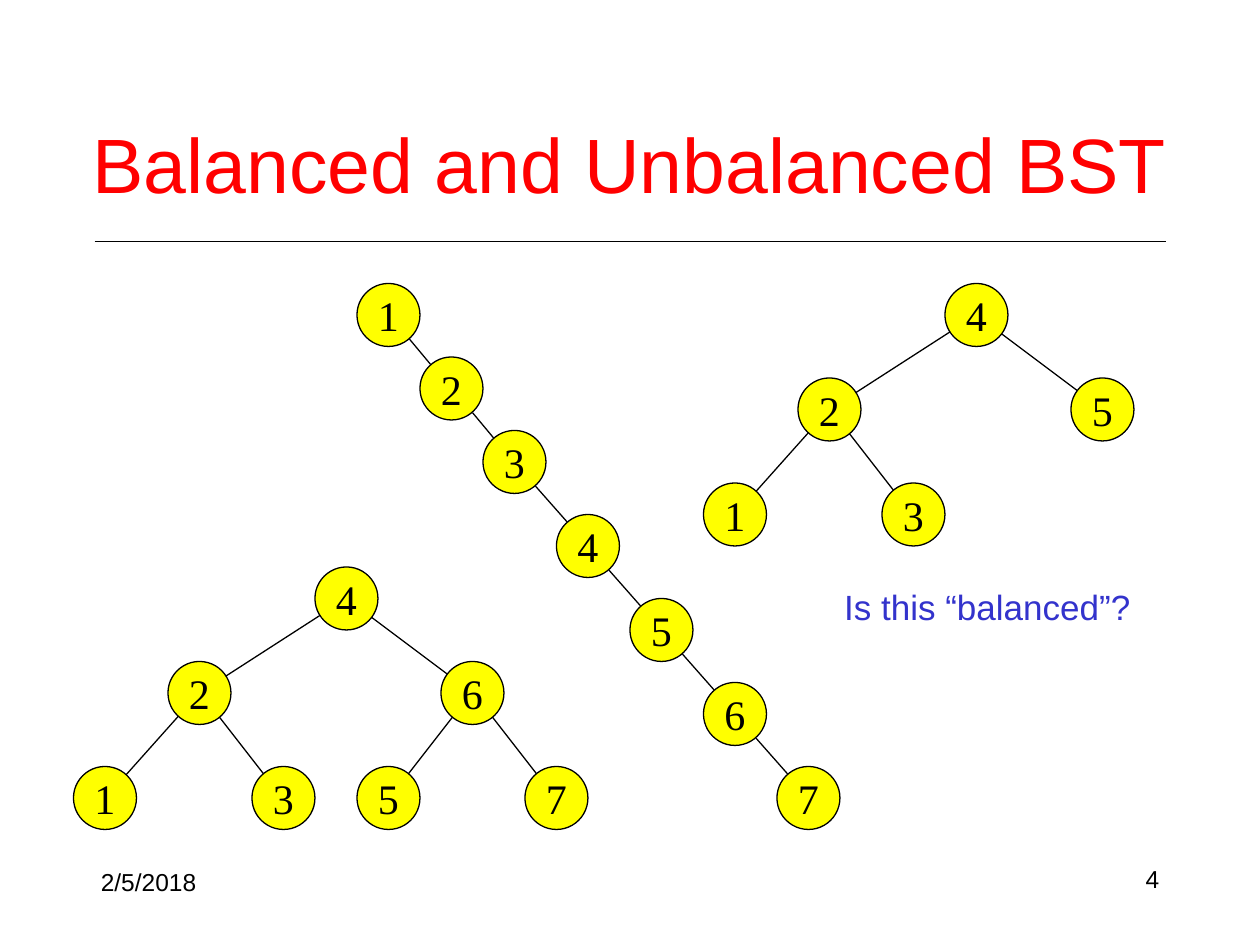
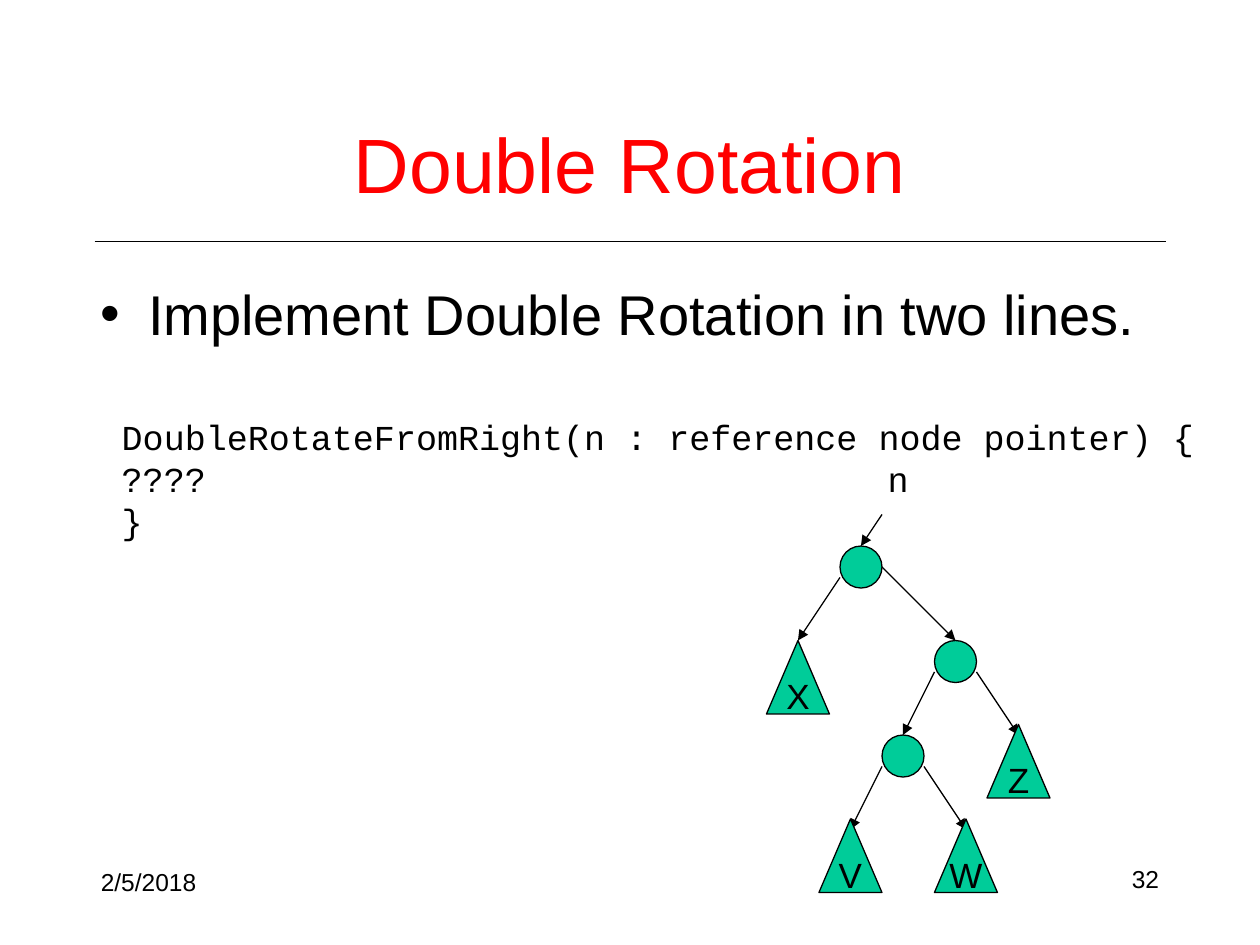
from dataclasses import dataclass
from itertools import pairwise
from math import hypot

from lxml.etree import SubElement
from pptx import Presentation
from pptx.dml.color import RGBColor
from pptx.enum.shapes import MSO_CONNECTOR as Connector, MSO_SHAPE as Preset
from pptx.enum.text import MSO_ANCHOR as Anchor, PP_ALIGN as Align
from pptx.oxml.ns import qn
from pptx.slide import Slide
from pptx.util import Pt

PX = 7620
SLIDE_W, SLIDE_H = 1200, 900
INSET = 6
NODE = 60
RADIUS = NODE // 2
JOINT = 40
SUBTREE_W, SUBTREE_H = 60, 70

COLORS = {
    "ink": "000000",
    "title": "FF0000",
    "question": "3333CC",
    "node": "FFFF00",
    "rotation": "00CC99",
}


@dataclass(frozen=True)
class Style:
    font: str
    size: int
    color: str = "ink"
    align: Align = Align.LEFT


@dataclass(frozen=True)
class Box:
    left: int
    top: int
    width: int
    height: int

    def emu(self) -> tuple[int, int, int, int]:
        return self.left * PX, self.top * PX, self.width * PX, self.height * PX


@dataclass(frozen=True)
class Node:
    key: str
    x: int
    y: int


@dataclass(frozen=True)
class Tree:
    nodes: tuple[Node, ...]
    edges: tuple[str, ...]


@dataclass(frozen=True)
class Arrow:
    x1: int
    y1: int
    x2: int
    y2: int


TITLE = Style("Arial", 44, "title", Align.CENTER)
BULLET = Style("Arial", 32)
CODE = Style("Courier New", 20)
QUESTION = Style("Arial", 20, "question")
POINTER = Style("Arial", 20)
DATE = Style("Arial", 14)
PAGE = Style("Arial", 14, align=Align.RIGHT)
KEY = Style("Times New Roman", 24, align=Align.CENTER)
SUBTREE = Style("Arial", 20, align=Align.CENTER)

CHAIN_NODES = (
    Node("1", 370, 300), Node("2", 430, 370), Node("3", 490, 440),
    Node("4", 560, 520), Node("5", 630, 600), Node("6", 700, 680),
    Node("7", 770, 760),
)
CHAIN = Tree(CHAIN_NODES, tuple(a.key + b.key for a, b in pairwise(CHAIN_NODES)))
SMALL_TREE = Tree(
    (Node("4", 930, 300), Node("2", 790, 390), Node("5", 1050, 390),
     Node("1", 700, 490), Node("3", 870, 490)),
    ("42", "45", "21", "23"),
)
FULL_TREE = Tree(
    (Node("4", 330, 570), Node("2", 190, 660), Node("6", 450, 660),
     Node("5", 370, 760), Node("7", 530, 760), Node("1", 100, 760),
     Node("3", 270, 760)),
    ("42", "46", "21", "23", "65", "67"),
)

ROTATION_ARROWS = (
    Arrow(840, 490, 820, 520), Arrow(800, 550, 760, 610),
    Arrow(840, 540, 910, 610), Arrow(890, 640, 860, 700),
    Arrow(930, 640, 970, 700), Arrow(840, 730, 810, 790),
    Arrow(880, 730, 920, 790),
)
JOINTS = ((800, 520), (890, 610), (840, 700))
SUBTREES = {"X": (730, 610), "V": (780, 780), "W": (890, 780), "Z": (940, 690)}


def rgb(name: str) -> RGBColor:
    return RGBColor.from_string(COLORS[name])


def add_run(paragraph, text: str, style: Style) -> None:
    paragraph.alignment = style.align
    run = paragraph.add_run()
    run.text = text
    run.font.name = style.font
    run.font.size = Pt(style.size)
    run.font.color.rgb = rgb(style.color)


def set_insets(frame, inset: int) -> None:
    frame.margin_left = frame.margin_right = inset * PX
    frame.margin_top = frame.margin_bottom = inset * PX


def add_text(slide: Slide, box: Box, lines: list[str], style: Style,
             anchor: Anchor = Anchor.TOP) -> list:
    frame = slide.shapes.add_textbox(*box.emu()).text_frame
    frame.word_wrap = True
    frame.vertical_anchor = anchor
    set_insets(frame, INSET)
    for _ in lines[1:]:
        frame.add_paragraph()
    for paragraph, line in zip(frame.paragraphs, lines):
        add_run(paragraph, line, style)
    return list(frame.paragraphs)


def add_line(slide: Slide, span: Arrow, head: bool = False) -> None:
    line = slide.shapes.add_connector(
        Connector.STRAIGHT, span.x1 * PX, span.y1 * PX, span.x2 * PX, span.y2 * PX)
    line.line.color.rgb = rgb("ink")
    line.line.width = Pt(0.75)
    properties = line._element.spPr
    if head:
        SubElement(properties.find(qn("a:ln")), qn("a:tailEnd"), type="triangle")
    SubElement(properties, qn("a:effectLst"))


def add_figure(slide: Slide, preset: Preset, box: Box, fill: str,
               label: str = "", style: Style = KEY) -> None:
    figure = slide.shapes.add_shape(preset, *box.emu())
    figure.shadow.inherit = False
    figure.fill.solid()
    figure.fill.fore_color.rgb = rgb(fill)
    figure.line.color.rgb = rgb("ink")
    figure.line.width = Pt(0.75)
    if label:
        frame = figure.text_frame
        frame.word_wrap = False
        frame.vertical_anchor = Anchor.MIDDLE
        set_insets(frame, 0)
        add_run(frame.paragraphs[0], label, style)


def add_edge(slide: Slide, parent: Node, child: Node) -> None:
    dx, dy = child.x - parent.x, child.y - parent.y
    trim = RADIUS / hypot(dx, dy)
    trim_x, trim_y = round(dx * trim), round(dy * trim)
    add_line(slide, Arrow(parent.x + trim_x, parent.y + trim_y,
                          child.x - trim_x, child.y - trim_y))


def add_tree(slide: Slide, tree: Tree) -> None:
    by_key = {node.key: node for node in tree.nodes}
    for node in tree.nodes:
        box = Box(node.x - RADIUS, node.y - RADIUS, NODE, NODE)
        add_figure(slide, Preset.OVAL, box, "node", node.key)
    for parent, child in tree.edges:
        add_edge(slide, by_key[parent], by_key[child])


def add_slide(deck, title: str, page: str) -> Slide:
    slide = deck.slides.add_slide(deck.slide_layouts[6])
    add_line(slide, Arrow(90, 230, 1110, 230))
    add_text(slide, Box(70, 80, 1060, 150), [title], TITLE, Anchor.MIDDLE)
    add_text(slide, Box(90, 820, 250, 41), ["2/5/2018"], DATE)
    number, = add_text(slide, Box(860, 820, 250, 38), [page], PAGE)
    number.line_spacing = 0.9
    return slide


def add_bullet(slide: Slide, box: Box, text: str) -> None:
    paragraph, = add_text(slide, box, [text], BULLET)
    paragraph.space_before = Pt(7)
    properties = paragraph._p.get_or_add_pPr()
    properties.set("marL", str(45 * PX))
    properties.set("indent", str(-45 * PX))
    SubElement(properties, qn("a:buFont"), typeface="Arial")
    SubElement(properties, qn("a:buChar"), char="•")


def build_balance_slide(deck) -> None:
    slide = add_slide(deck, "Balanced and Unbalanced BST", "4")
    for tree in (SMALL_TREE, CHAIN, FULL_TREE):
        add_tree(slide, tree)
    add_text(slide, Box(798, 552, 290, 49), ["Is this “balanced”?"], QUESTION)


def build_rotation_slide(deck) -> None:
    slide = add_slide(deck, "Double Rotation", "32")
    add_bullet(slide, Box(90, 260, 1020, 90), "Implement Double Rotation in two lines.")
    add_text(slide, Box(110, 390, 1054, 127), [
        "DoubleRotateFromRight(n : reference node pointer) {",
        "????",
        "}",
    ], CODE)
    add_text(slide, Box(840, 430, 34, 49), ["n"], POINTER)
    for arrow in ROTATION_ARROWS:
        add_line(slide, arrow, head=True)
    for left, top in JOINTS:
        add_figure(slide, Preset.OVAL, Box(left, top, JOINT, JOINT), "rotation")
    for label, (left, top) in SUBTREES.items():
        box = Box(left, top, SUBTREE_W, SUBTREE_H)
        add_figure(slide, Preset.ISOSCELES_TRIANGLE, box, "rotation", label, SUBTREE)


def main() -> None:
    deck = Presentation()
    deck.slide_width = SLIDE_W * PX
    deck.slide_height = SLIDE_H * PX
    build_balance_slide(deck)
    build_rotation_slide(deck)
    deck.save("out.pptx")


if __name__ == "__main__":
    main()
